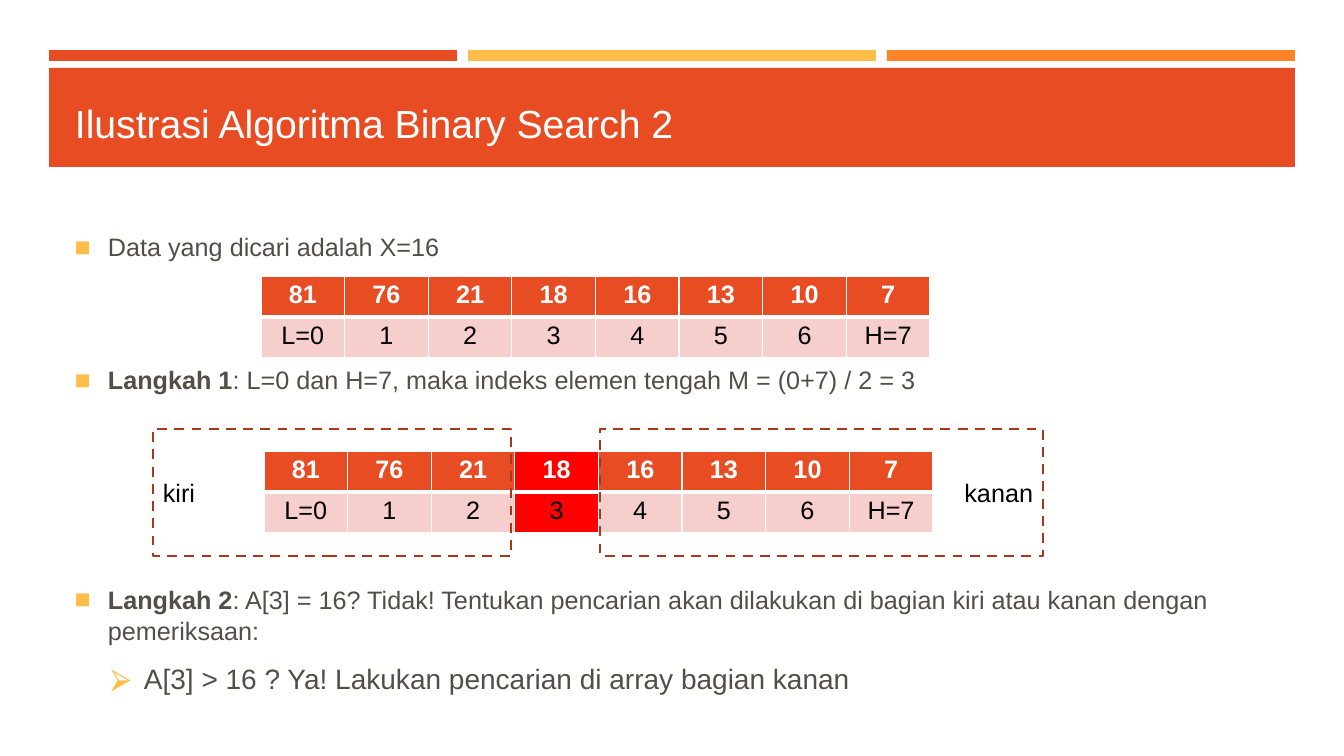
from lxml import etree
from pptx import Presentation
from pptx import util as u
from pptx.dml.color import RGBColor
from pptx.enum import dml, shapes, text
from pptx.oxml.ns import qn

PX = 914400 / 100.8
FONT = "Arial"
COLORS = {
    "red_orange": "E84C22", "amber": "FFBD47", "orange": "FF8427",
    "body": "505046", "white": "FFFFFF", "black": "000000",
    "pink": "F6CECB", "middle": "FF0000", "outline": "A93718",
}
DATA = ["81", "76", "21", "18", "16", "13", "10", "7"]
INDICES = ["L=0", "1", "2", "3", "4", "5", "6", "H=7"]
ROW_HEIGHT = 41
ARRAY_WIDTH = 669


def px(length):
    return u.Emu(round(length * PX))


def box(*lengths):
    return [px(length) for length in lengths]


def rgb(name):
    return RGBColor.from_string(COLORS[name])


def style_runs(paragraph, size, color, bold=False):
    for run in paragraph.runs:
        run.font.name = FONT
        run.font.size = u.Pt(size)
        run.font.bold = bold
        run.font.color.rgb = rgb(color)


def add_bar(slide, bounds, color):
    bar = slide.shapes.add_shape(shapes.MSO_SHAPE.RECTANGLE, *box(*bounds))
    bar.shadow.inherit = False
    bar.fill.solid()
    bar.fill.fore_color.rgb = rgb(color)
    bar.line.fill.background()


def add_text_frame(slide, bounds):
    frame = slide.shapes.add_textbox(*box(*bounds)).text_frame
    frame.word_wrap = True
    return frame


def add_title(slide, title):
    frame = add_text_frame(slide, (65, 78, 1216, 89))
    frame.vertical_anchor = text.MSO_ANCHOR.MIDDLE
    frame.text = title
    style_runs(frame.paragraphs[0], 28, "white")


def set_bullet(paragraph, symbol, margin, hanging):
    props = paragraph._p.get_or_add_pPr()
    props.set("marL", str(px(margin)))
    props.set("indent", str(-px(hanging)))
    color = etree.SubElement(props, qn("a:buClr"))
    etree.SubElement(color, qn("a:srgbClr"), val=COLORS["amber"])
    etree.SubElement(props, qn("a:buFont"), typeface=FONT)
    etree.SubElement(props, qn("a:buChar"), char=symbol)


def add_steps(slide, steps):
    """Each step is (bold lead, rest, points before, level)."""
    frame = add_text_frame(slide, (65, 225, 1216, 512))
    for number, (lead, rest, before, level) in enumerate(steps):
        step = frame.add_paragraph() if number else frame.paragraphs[0]
        step.level = level
        step.line_spacing = 1.05
        step.space_before = u.Pt(before)
        for part in filter(None, (lead, rest)):
            step.add_run().text = part
        style_runs(step, 20 if level else 18, "body")
        if lead:
            step.runs[0].font.bold = True
        set_bullet(step, "⮚" if level else "◼", 69 if level else 33, 33)


def set_borders(cell, widths):
    """Widths are points for the left, right, top and bottom edges."""
    props = cell._tc.get_or_add_tcPr()
    for position, (edge, width) in enumerate(zip("LRTB", widths)):
        line = etree.Element(qn(f"a:ln{edge}"), w=str(u.Pt(width)))
        fill = etree.SubElement(line, qn("a:solidFill"))
        etree.SubElement(fill, qn("a:srgbClr"), val=COLORS["white"])
        props.insert(position, line)


def add_array(slide, left, top, middle=None):
    """Draw values above indices, with the middle column highlighted."""
    rows = [
        (DATA, "red_orange", "white", True, (1, 1, 1, 3)),
        (INDICES, "pink", "black", False, (1, 1, 3, 1)),
    ]
    array = slide.shapes.add_table(
        len(rows), len(DATA),
        *box(left, top, ARRAY_WIDTH, ROW_HEIGHT * len(rows))).table
    for column in array.columns:
        column.width = px(ARRAY_WIDTH / len(DATA))
    for r, (values, fill, color, bold, borders) in enumerate(rows):
        array.rows[r].height = px(ROW_HEIGHT)
        for c, value in enumerate(values):
            cell = array.cell(r, c)
            cell.text = value
            cell.fill.solid()
            cell.fill.fore_color.rgb = rgb("middle" if c == middle else fill)
            paragraph = cell.text_frame.paragraphs[0]
            paragraph.alignment = text.PP_ALIGN.CENTER
            style_runs(paragraph, 18, color, bold)
            set_borders(cell, borders)


def add_half(slide, bounds, label, alignment):
    """Outline one half of the array with a dashed, labelled frame."""
    half = slide.shapes.add_shape(shapes.MSO_SHAPE.RECTANGLE, *box(*bounds))
    half.shadow.inherit = False
    half.fill.background()
    half.line.color.rgb = rgb("outline")
    half.line.width = u.Pt(1.75)
    half.line.dash_style = dml.MSO_LINE.DASH
    half.text_frame.vertical_anchor = text.MSO_ANCHOR.MIDDLE
    half.text_frame.text = label
    paragraph = half.text_frame.paragraphs[0]
    paragraph.alignment = alignment
    style_runs(paragraph, 18, "black")


def main():
    deck = Presentation()
    deck.slide_width, deck.slide_height = box(1344, 756)
    slide = deck.slides.add_slide(deck.slide_layouts[6])

    for number, color in enumerate(("red_orange", "amber", "orange")):
        add_bar(slide, (49 + number * 419, 50, 408, 11), color)
    add_bar(slide, (49, 68, 1246, 99), "red_orange")
    add_title(slide, "Ilustrasi Algoritma Binary Search 2")

    add_steps(slide, [
        ("", "Data yang dicari adalah X=16", 0, 0),
        ("Langkah 1",
         ": L=0 dan H=7, maka indeks elemen tengah M = (0+7) / 2 = 3", 72.5, 0),
        ("Langkah 2",
         ": A[3] = 16? Tidak! Tentukan pencarian akan dilakukan di bagian "
         "kiri atau kanan dengan pemeriksaan:", 134, 0),
        ("", "A[3] > 16 ? Ya! Lakukan pencarian di array bagian kanan", 10, 1),
    ])

    add_array(slide, 261, 276)
    add_array(slide, 264, 451, middle=DATA.index("18"))
    add_half(slide, (153, 429, 358, 127), "kiri", text.PP_ALIGN.LEFT)
    add_half(slide, (600, 429, 443, 127), "kanan", text.PP_ALIGN.RIGHT)

    deck.save("out.pptx")


if __name__ == "__main__":
    main()
